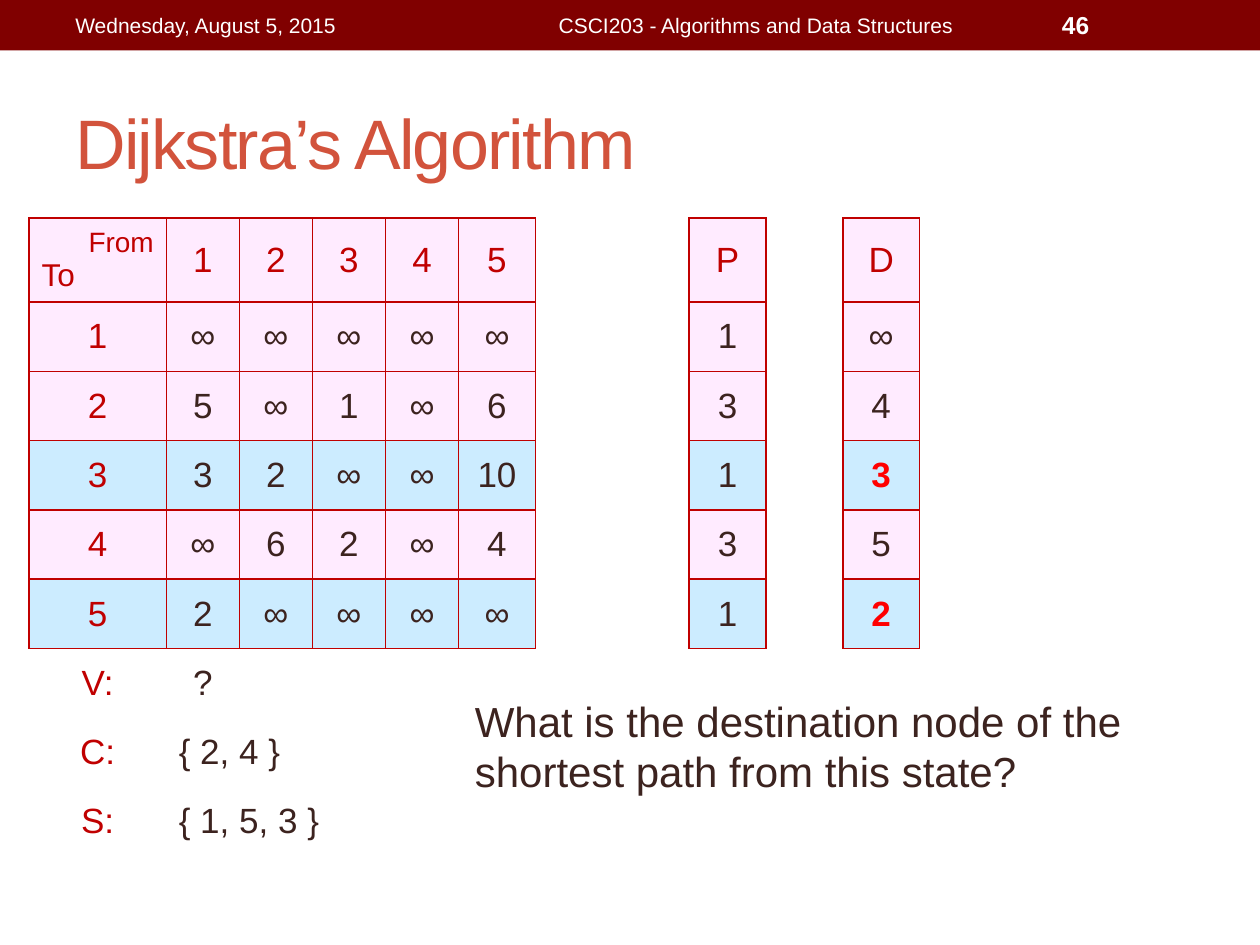
"""Build the Dijkstra's Algorithm slide with its distance table."""
from dataclasses import dataclass

from lxml import etree
from pptx import Presentation
from pptx.dml.color import RGBColor
from pptx.enum.shapes import MSO_SHAPE
from pptx.enum.text import MSO_ANCHOR, PP_ALIGN
from pptx.oxml.ns import qn
from pptx.util import Inches, Pt

LEFT, CENTER, RIGHT = PP_ALIGN.LEFT, PP_ALIGN.CENTER, PP_ALIGN.RIGHT
TOP, MIDDLE = MSO_ANCHOR.TOP, MSO_ANCHOR.MIDDLE
RECT = MSO_SHAPE.RECTANGLE
NO_STYLE = "{2D5ABB26-0587-4C30-8999-92F81FD0307C}"
WIDTH, HEIGHT = 10, 7.5


@dataclass(frozen=True)
class Theme:
    """Colours, font and type sizes."""
    font: str = "Arial"
    banner: str = "800000"
    title: str = "D2533C"
    white: str = "FFFFFF"
    ink: str = "3C231F"
    label: str = "C00000"
    chosen: str = "FF0000"
    pink: str = "FFEBFF"
    blue: str = "CCECFF"
    title_size: int = 40
    question_size: int = 24
    cell_size: int = 20
    to_size: int = 18
    from_size: int = 16
    page_size: int = 14
    header_size: int = 12


THEME = Theme()


def write(p, text, size, color, bold=False, align=LEFT, spacing=None):
    """Add one formatted run to a paragraph."""
    p.alignment = align
    r = p.add_run()
    r.text = text
    r.font.name, r.font.size, r.font.bold = THEME.font, Pt(size), bold
    r.font.color.rgb = RGBColor.from_string(color)
    if spacing is not None:
        r._r.get_or_add_rPr().set("spc", str(spacing))


def set_border(cell, side, color):
    """Draw one side of a cell, or clear it when color is None."""
    ln = etree.SubElement(cell._tc.get_or_add_tcPr(), qn(f"a:ln{side}"), w=str(Pt(1)))
    if color is None:
        etree.SubElement(ln, qn("a:noFill"))
    else:
        fill = etree.SubElement(ln, qn("a:solidFill"))
        etree.SubElement(fill, qn("a:srgbClr"), val=color)


class SlideBuilder:
    """Hold the theme and the current slide; place items by shares of its size."""

    def __init__(self, prs, theme):
        """Add a blank slide."""
        self.theme = theme
        self.s = prs.slides.add_slide(prs.slide_layouts[6])

    def box(self, x, y, w, h):
        """Turn shares of the slide into lengths."""
        return Inches(x * WIDTH), Inches(y * HEIGHT), Inches(w * WIDTH), Inches(h * HEIGHT)

    def banner(self, *share):
        """Add a plain filled bar."""
        sp = self.s.shapes.add_shape(RECT, *self.box(*share))
        sp.shadow.inherit = False
        sp.fill.solid()
        sp.fill.fore_color.rgb = RGBColor.from_string(self.theme.banner)
        sp.line.fill.background()

    def text(self, share, text, size, color, anchor=MIDDLE, **style):
        """Add a wrapped text box."""
        tf = self.s.shapes.add_textbox(*self.box(*share)).text_frame
        tf.word_wrap = True
        tf.vertical_anchor = anchor
        write(tf.paragraphs[0], text, size, color, **style)

    def table(self, share, cols, rows, fill_of):
        """Add an unstyled table with borders around its filled cells."""
        table = self.s.shapes.add_table(len(rows), len(cols), *self.box(*share)).table
        table._tbl.tblPr.find(qn("a:tableStyleId")).text = NO_STYLE
        table.first_row = table.horz_banding = False
        for column, width in zip(table.columns, cols):
            column.width = Inches(width)
        for row, height in zip(table.rows, rows):
            row.height = Inches(height)
        sides = {"L": (0, -1), "R": (0, 1), "T": (-1, 0), "B": (1, 0)}
        for i in range(len(rows)):
            for j in range(len(cols)):
                cell, fill = table.cell(i, j), fill_of(i, j)
                cell.vertical_anchor = MIDDLE
                for side, (di, dj) in sides.items():
                    edged = fill or fill_of(i + di, j + dj)
                    set_border(cell, side, self.theme.label if edged else None)
                if fill:
                    cell.fill.solid()
                    cell.fill.fore_color.rgb = RGBColor.from_string(fill)
                else:
                    cell.fill.background()
        return table


MATRIX = ["∞∞∞∞∞", "5∞1∞6", ["3", "2", "∞", "∞", "10"], "∞62∞4", "2∞∞∞∞"]
PREDECESSORS, DISTANCES = "13131", "∞4352"
SOLVED = (3, 5)
P_COL, D_COL = 8, 10
STATE = [("V:", "?"), ("C:", "{ 2, 4 }"), ("S:", "{ 1, 5, 3 }")]


def fill_of(i, j):
    """Give the fill of a grid cell, or None outside the three grids."""
    if not 0 <= i <= 5 or j not in (*range(6), P_COL, D_COL):
        return None
    return THEME.blue if i in SOLVED else THEME.pink


def fill_table(table):
    """Write the matrix, the P and D columns and the state rows."""
    t = THEME

    def put(i, j, text, color=t.ink, align=CENTER, bold=False):
        """Write one table cell."""
        write(table.cell(i, j).text_frame.paragraphs[0], text, t.cell_size, color,
              align=align, bold=bold)

    tf = table.cell(0, 0).text_frame
    write(tf.paragraphs[0], "From", t.from_size, t.label, align=RIGHT)
    write(tf.add_paragraph(), "To", t.to_size, t.label)
    for j, head in [*zip(range(1, 6), "12345"), (P_COL, "P"), (D_COL, "D")]:
        put(0, j, head, t.label)
    for i, (weights, parent, dist) in enumerate(zip(MATRIX, PREDECESSORS, DISTANCES), 1):
        put(i, 0, str(i), t.label)
        for j, weight in enumerate(weights, 1):
            put(i, j, weight)
        put(i, P_COL, parent)
        put(i, D_COL, dist, t.chosen if i in SOLVED else t.ink, bold=i in SOLVED)
    for i, (name, value) in enumerate(STATE, 6):
        put(i, 0, name, t.label)
        if i > 6:
            table.cell(i, 1).merge(table.cell(i, D_COL))
        put(i, 1, value, align=LEFT if i > 6 else CENTER)


def main():
    """Build and save the slide."""
    prs = Presentation()
    prs.slide_width, prs.slide_height = Inches(WIDTH), Inches(HEIGHT)
    t = THEME
    b = SlideBuilder(prs, t)
    b.banner(0, 0, 1, 0.4 / HEIGHT)
    b.text((0.05, 0.58 / HEIGHT, 0.9, 1.08 / HEIGHT), "Dijkstra’s Algorithm",
           t.title_size, t.title, spacing=-100)
    header_y, header_h = 0.02 / HEIGHT, 0.36 / HEIGHT
    b.text((0.375, header_y, 0.45, header_h), "CSCI203 - Algorithms and Data Structures",
           t.header_size, t.white, align=CENTER)
    b.text((0.833, header_y, 0.117, header_h), "46", t.page_size, t.white, bold=True)
    table = b.table((0.023, 1.73 / HEIGHT, 0.709, 5.08 / HEIGHT),
                    [1.09] + [0.58] * 4 + [0.61] * 6, [0.66] + [0.55] * 8, fill_of)
    fill_table(table)
    b.text((0.367, 5.47 / HEIGHT, 0.594, 0.91 / HEIGHT),
           "What is the destination node of the shortest path from this state?",
           t.question_size, t.ink, anchor=TOP)
    b.text((0.05, header_y, 0.317, header_h), "Wednesday, August 5, 2015",
           t.header_size, t.white)
    prs.save("out.pptx")


if __name__ == "__main__":
    main()
